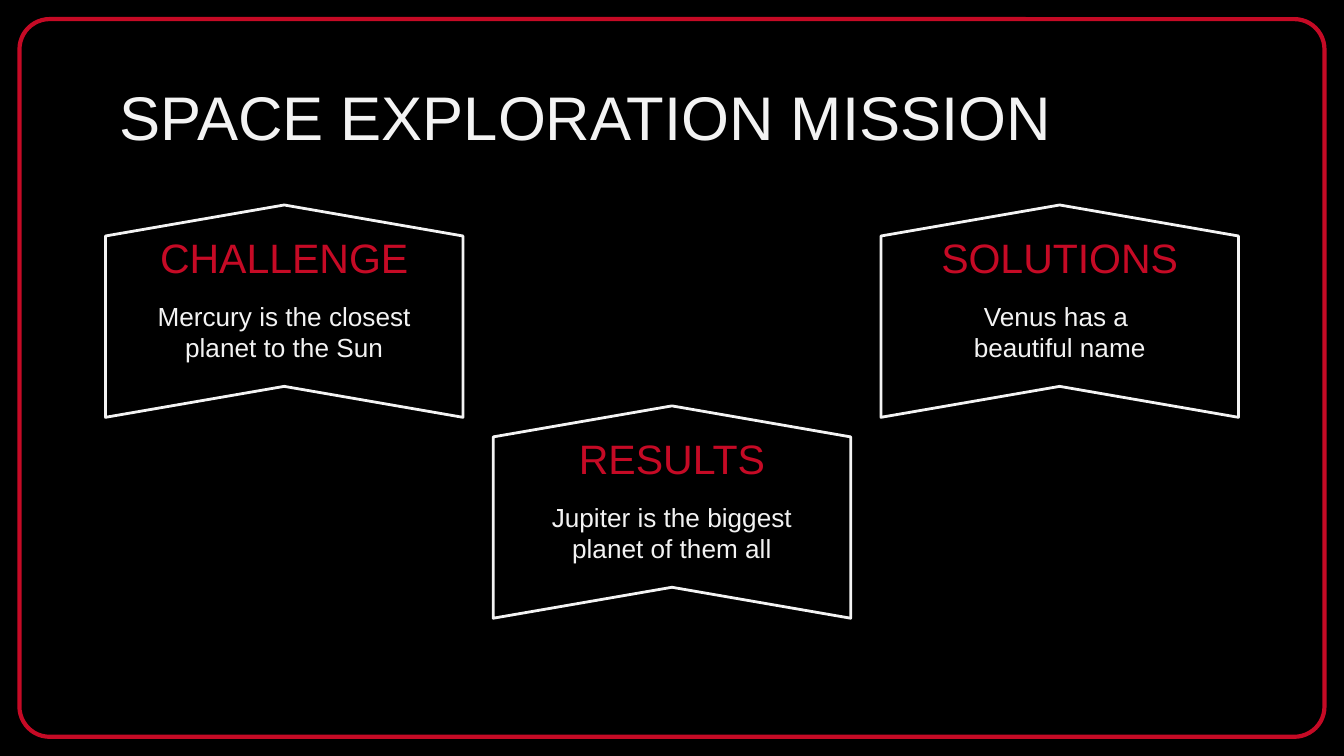
from dataclasses import dataclass

from pptx import Presentation
from pptx.dml.color import RGBColor
from pptx.enum.shapes import MSO_SHAPE
from pptx.enum.text import MSO_ANCHOR, PP_ALIGN
from pptx.shapes.autoshape import Shape
from pptx.slide import Slide
from pptx.text.text import TextFrame
from pptx.util import Inches, Pt

CHEVRON = MSO_SHAPE.CHEVRON
ROUND = MSO_SHAPE.ROUNDED_RECTANGLE
LEFT, CENTER = PP_ALIGN.LEFT, PP_ALIGN.CENTER
TOP, MIDDLE = MSO_ANCHOR.TOP, MSO_ANCHOR.MIDDLE
BLACK, WHITE, RED = "000000", "F3F3F3", "C50A25"
FONT = "Arial"
WIDE = 10
HIGH = WIDE * 9 / 16
MID, STEP = 5.0, 2.885  # middle column and distance between columns
UPPER, LOWER = 2.315, 3.81  # centres of the two rows


@dataclass
class Card:
    x: float
    y: float
    head: str
    lines: list[str]


CARDS = [
    Card(MID, LOWER, "RESULTS", ["Jupiter is the biggest planet of them all"]),
    Card(MID - STEP, UPPER, "CHALLENGE", ["Mercury is the closest planet to the Sun"]),
    Card(MID + STEP, UPPER, "SOLUTIONS", ["Venus has a ", "beautiful name"]),
]


def color(code: str) -> RGBColor:
    return RGBColor.from_string(code)


def write(frame: TextFrame, lines: list[str], size: float, tint: str,
          align: PP_ALIGN, anchor: MSO_ANCHOR) -> None:
    frame.word_wrap = True
    frame.vertical_anchor = anchor
    frame.margin_left = frame.margin_right = Inches(0.1)
    frame.margin_top = frame.margin_bottom = Inches(0.1)
    for i, line in enumerate(lines):
        para = frame.paragraphs[0] if i == 0 else frame.add_paragraph()
        para.alignment = align
        para.line_spacing = 1.0
        para.space_before = para.space_after = Pt(0)
        run = para.add_run()
        run.text = line
        run.font.name = FONT
        run.font.size = Pt(size)
        run.font.color.rgb = color(tint)


def outline(slide: Slide, kind: MSO_SHAPE, x: float, y: float, w: float, h: float,
            bend: float, tint: str = "", width: float = 0) -> Shape:
    """Add an unfilled shape centred on x, y; no tint means no line."""
    shape = slide.shapes.add_shape(
        kind, Inches(x - w / 2), Inches(y - h / 2), Inches(w), Inches(h))
    shape.adjustments[0] = bend
    shape.shadow.inherit = False
    shape.fill.background()
    if tint:
        shape.line.color.rgb = color(tint)
        shape.line.width = Pt(width)
    else:
        shape.line.fill.background()
    return shape


def draw(slide: Slide, card: Card) -> None:
    arrow = outline(slide, CHEVRON, card.x, card.y, 1.58, 2.66, 0.146, WHITE, 1.5)
    arrow.rotation = 270
    left, wide = Inches(card.x - 1.2), Inches(2.4)
    body = slide.shapes.add_textbox(left, Inches(card.y - 0.18), wide, Inches(0.64))
    write(body.text_frame, card.lines, 14, WHITE, CENTER, TOP)
    head = outline(slide, ROUND, card.x, card.y - 0.4, 2.4, 0.45, 0)
    write(head.text_frame, [card.head], 22, RED, CENTER, MIDDLE)


def main() -> None:
    deck = Presentation()
    deck.slide_width, deck.slide_height = Inches(WIDE), Inches(HIGH)
    slide = deck.slides.add_slide(deck.slide_layouts[5])
    slide.background.fill.solid()
    slide.background.fill.fore_color.rgb = color(BLACK)

    outline(slide, ROUND, WIDE / 2, HIGH / 2, 9.71, 5.34, 0.042, RED, 2.25)
    title = slide.shapes.title
    title.left, title.top = Inches(0.79), Inches(0.49)
    title.width, title.height = Inches(8.43), Inches(0.63)
    write(title.text_frame, ["SPACE EXPLORATION MISSION"], 33, WHITE, LEFT, TOP)
    for card in CARDS:
        draw(slide, card)
    deck.save("out.pptx")


if __name__ == "__main__":
    main()
